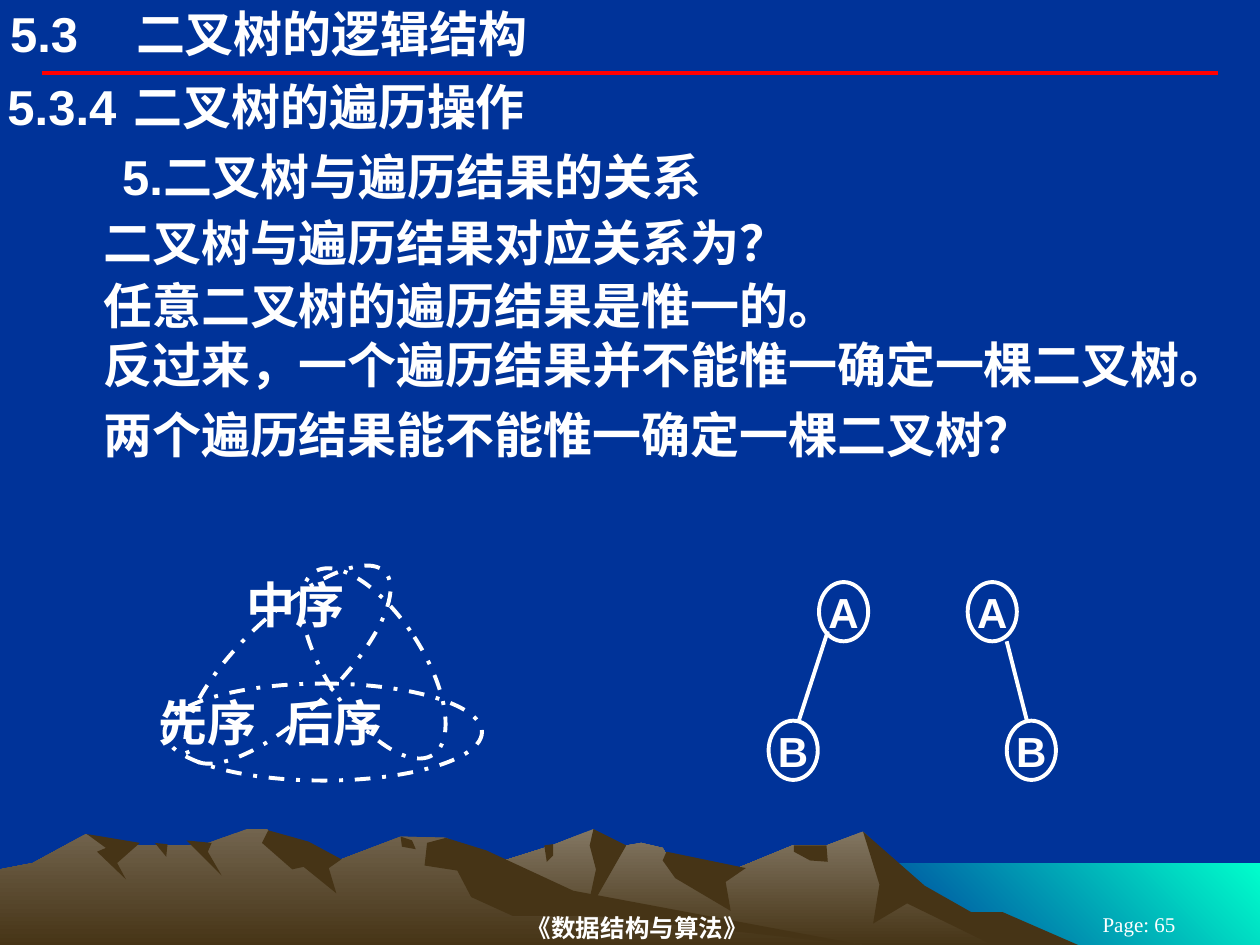
"""Build the slide on binary trees and their traversal results."""
from lxml import etree
from pptx import Presentation
from pptx.dml.color import RGBColor
from pptx.enum import dml, shapes, text
from pptx.oxml import ns
from pptx.util import Inches, Pt

NAVY = RGBColor(0x00, 0x33, 0x99)
WHITE = RGBColor(0xFF, 0xFF, 0xFF)
RED = RGBColor(0xFF, 0x00, 0x00)
AQUA = RGBColor(0x00, 0xFF, 0xCC)
BROWN = RGBColor(0x46, 0x34, 0x16)
STONE = RGBColor(0x83, 0x77, 0x63)
EARTH = RGBColor(0x72, 0x64, 0x4E)

HEADING = {"size": Pt(28), "name": "Arial", "bold": True}
NODE = {"size": Pt(24), "name": "Arial", "bold": True}
FOOTER = {"size": Pt(14), "name": "Times New Roman", "bold": True}
PAGE = {"size": Pt(12), "name": "Times New Roman", "bold": False}
LEFT, CENTER = text.PP_ALIGN.LEFT, text.PP_ALIGN.CENTER
TOP, MIDDLE = text.MSO_ANCHOR.TOP, text.MSO_ANCHOR.MIDDLE


def write(shape, lines, font, align=LEFT, anchor=TOP, inset=0.02, indent=0, wrap=True):
    frame = shape.text_frame
    frame_format = {
        "word_wrap": wrap, "vertical_anchor": anchor,
        "auto_size": text.MSO_AUTO_SIZE.NONE,
        "margin_left": Inches(inset + indent), "margin_right": Inches(inset),
        "margin_top": Inches(inset / 2), "margin_bottom": Inches(inset / 2),
    }
    for name, value in frame_format.items():
        setattr(frame, name, value)
    for number, (words, line_format) in enumerate(lines):
        paragraph = frame.add_paragraph() if number else frame.paragraphs[0]
        paragraph.alignment = align
        if "before" in line_format:
            paragraph.space_before = Pt(line_format["before"])
        properties = paragraph._p.get_or_add_pPr()
        properties.set("marL", str(Inches(line_format.get("indent", 0))))
        properties.set("indent", "0")
        if "tab" in line_format:
            tabs = etree.SubElement(properties, ns.qn("a:tabLst"))
            position = str(Inches(line_format["tab"]))
            etree.SubElement(tabs, ns.qn("a:tab"), pos=position, algn="l")
        run = paragraph.add_run()
        run.text = words
        run.font.color.rgb = WHITE
        for name, value in font.items():
            setattr(run.font, name, value)


def draw_line(x1, y1, x2, y2, color):
    connector = slide.shapes.add_connector(
        shapes.MSO_CONNECTOR.STRAIGHT, Inches(x1), Inches(y1), Inches(x2), Inches(y2))
    connector.line.color.rgb = color
    connector.line.width = Pt(2.25)
    etree.SubElement(connector._element.spPr, ns.qn("a:effectLst"))


presentation = Presentation()
presentation.slide_width, presentation.slide_height = Inches(10), Inches(7.5)
slide = presentation.slides.add_slide(presentation.slide_layouts[5])
slide.background.fill.solid()
slide.background.fill.fore_color.rgb = NAVY

landscape = [
    ((AQUA, NAVY, 225), [(683, 752), (683, 685), (1000, 685), (1000, 752)]),
    ((STONE, BROWN, 270), [
        (821, 751), (764, 723), (723, 698), (685, 660), (656, 671), (629, 671),
        (566, 697), (536, 690), (526, 673), (509, 669), (486, 673), (471, 658),
        (438, 671), (394, 685), (327, 709), (258, 751)]),
    ((BROWN,), [
        (858, 751), (796, 724), (771, 724), (734, 703), (685, 660), (698, 702),
        (693, 733), (720, 717), (792, 752)]),
    ((BROWN,), [(471, 658), (468, 671), (473, 690), (465, 727), (497, 671)]),
    ((BROWN,), [
        (529, 676), (526, 683), (536, 697), (580, 723), (576, 700), (592, 689)]),
    ((BROWN,), [(630, 671), (630, 676), (643, 683), (657, 684), (656, 671)]),
    ((BROWN,), [(432, 671), (439, 670), (439, 679), (434, 684)]),
    ((EARTH, BROWN, 270), [
        (690, 751), (432, 712), (354, 665), (318, 664), (271, 682), (236, 681),
        (212, 658), (196, 658), (160, 671), (94, 671), (68, 662), (26, 685),
        (0, 690), (0, 751)]),
    ((BROWN,), [
        (213, 659), (208, 669), (232, 690), (241, 688), (267, 709), (261, 689),
        (271, 682), (245, 668)]),
    ((BROWN,), [
        (386, 675), (354, 665), (339, 669), (337, 687), (363, 691), (374, 712),
        (407, 727), (472, 727), (690, 751), (455, 707)]),
    ((BROWN,), [(318, 664), (327, 667), (330, 674), (319, 672)]),
    ((BROWN,), [(148, 667), (168, 669), (165, 676), (176, 695)]),
    ((BROWN,), [(123, 669), (133, 670), (132, 680)]),
    ((BROWN,), [
        (69, 662), (111, 669), (93, 685), (100, 698), (77, 676), (84, 673)]),
]
for colors, points in landscape:
    builder = slide.shapes.build_freeform(*points[0], scale=Inches(0.01))
    builder.add_line_segments(points[1:], close=True)
    shape = builder.convert_to_shape()
    shape.shadow.inherit = False
    shape.line.fill.background()
    if len(colors) == 1:
        shape.fill.solid()
        shape.fill.fore_color.rgb = colors[0]
    else:
        shape.fill.gradient()
        shape.fill.gradient_angle = colors[2]
        for stop, color in zip(shape.fill.gradient_stops, colors):
            stop.color.rgb = color

draw_line(0.33, 0.58, 9.67, 0.58, RED)

title = slide.shapes.title
title_place = {"left": 0.08, "top": 0.03, "width": 6.5, "height": 0.47}
for name, value in title_place.items():
    setattr(title, name, Inches(value))
write(title, [("5.3\t二叉树的逻辑结构", {"tab": 0.84})], HEADING, inset=0)

footers = [
    ((2.03, 7.22, 6.06, 0.28), "《数据结构与算法》", FOOTER),
    ((8.25, 7.25, 1.58, 0.17), "Page: 65", PAGE),
]
for place, words, font in footers:
    box = slide.shapes.add_textbox(*map(Inches, place))
    write(box, [(words, {})], font, CENTER, MIDDLE)

statements = [
    (0.6, 0.49, 0.04, [("5.3.4\t二叉树的遍历操作", {"tab": 1.27})]),
    (1.15, 0.49, 0.95, [("5.二叉树与遍历结果的关系", {})]),
    (1.68, 0.49, 0.8, [("二叉树与遍历结果对应关系为？", {})]),
    (2.18, 1.42, 0.8, [
        ("任意二叉树的遍历结果是惟一的。", {}),
        ("反过来，一个遍历结果并不能惟一确定一棵二叉树。", {})]),
    (3.2, 0.49, 0.8, [("两个遍历结果能不能惟一确定一棵二叉树？", {})]),
]
for top, height, indent, lines in statements:
    box = slide.shapes.add_textbox(0, Inches(top), Inches(10), Inches(height))
    write(box, lines, HEADING, indent=indent)

orders = slide.shapes.add_textbox(Inches(0.35), Inches(4.55), Inches(3.66), Inches(2.36))
order_lines = [("中序", {"indent": 0.7}), ("先序\t后序", {"tab": 1.29, "before": 34})]
write(orders, order_lines, HEADING, indent=0.89)

dashed_loops = [
    (2.58, 4.4, 0.77, 1.73, 147),
    (2.18, 4.55, 0.77, 2.52, 90),
    (1.9, 4.21, 0.77, 2.13, 46.3),
]
nodes = [("A", 6.5, 4.62), ("B", 6.1, 5.72), ("A", 7.68, 4.62), ("B", 7.99, 5.72)]
ovals = [(*loop, "") for loop in dashed_loops]
ovals += [(x, y, 0.39, 0.47, 0, label) for label, x, y in nodes]
for *place, rotation, label in ovals:
    oval = slide.shapes.add_shape(shapes.MSO_SHAPE.OVAL, *map(Inches, place))
    oval.shadow.inherit = False
    oval.rotation = rotation
    oval.line.color.rgb = WHITE
    oval.line.width = Pt(2.25)
    if label:
        oval.fill.solid()
        oval.fill.fore_color.rgb = NAVY
        write(oval, [(label, {})], NODE, CENTER, MIDDLE, inset=0.1, wrap=False)
    else:
        oval.fill.background()
        oval.line.dash_style = dml.MSO_LINE.DASH_DOT

for edge in [(6.57, 5.01, 6.34, 5.72), (7.99, 5.09, 8.15, 5.72)]:
    draw_line(*edge, WHITE)

presentation.save("out.pptx")
